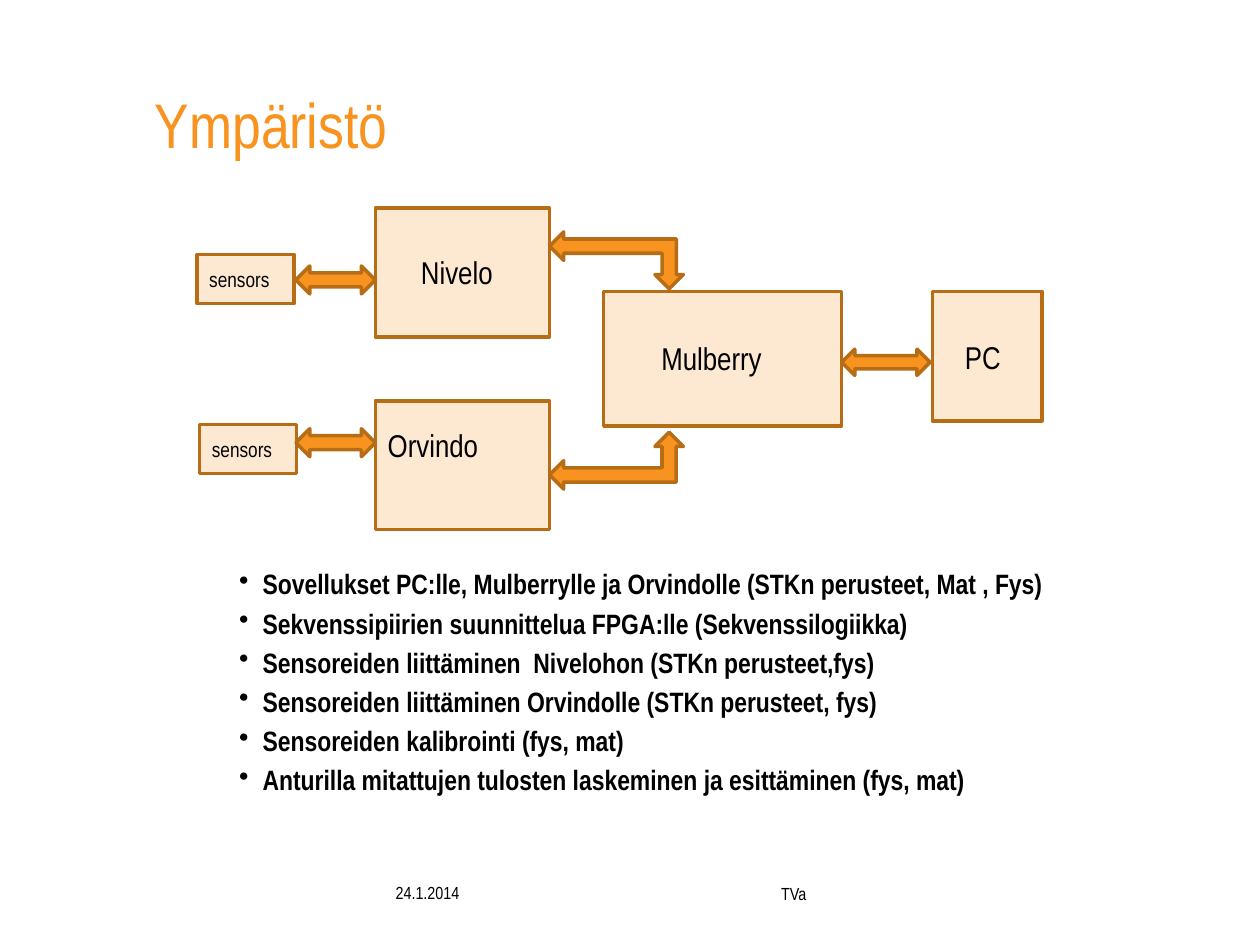
from dataclasses import dataclass

import pptx
import pptx.dml.color
import pptx.enum.shapes
import pptx.enum.text
import pptx.oxml
import pptx.oxml.ns
import pptx.util

Pt = pptx.util.Pt
RGBColor = pptx.dml.color.RGBColor
Shapes = pptx.enum.shapes.MSO_SHAPE
Align = pptx.enum.text.PP_ALIGN
Anchor = pptx.enum.text.MSO_ANCHOR


@dataclass(frozen=True)
class Theme:
    font: str = "Arial Narrow"
    accent: RGBColor = RGBColor(0xF7, 0x93, 0x1E)
    outline: RGBColor = RGBColor(0xB7, 0x6D, 0x16)
    box_fill: RGBColor = RGBColor(0xFD, 0xE9, 0xD2)
    text: RGBColor = RGBColor(0, 0, 0)
    title_size: float = 36
    device_size: float = 18
    body_size: float = 16
    sensor_size: float = 12
    footer_size: float = 10
    line_width: float = 2


THEME = Theme()


@dataclass(frozen=True)
class Box:
    left: float
    top: float
    width: float
    height: float

    def lengths(self) -> tuple:
        return tuple(Pt(v) for v in (self.left, self.top, self.width, self.height))


@dataclass(frozen=True)
class Node:
    name: str
    box: Box
    label_box: Box
    size: float = THEME.device_size


@dataclass(frozen=True)
class Arrow:
    box: Box
    kind: Shapes = Shapes.LEFT_RIGHT_ARROW
    flipped: bool = False


def sensor_node(left: float, top: float) -> Node:
    return Node("sensors", Box(left, top, 55.5, 28),
                Box(left, top + 3.5, 55.5, 21.5), THEME.sensor_size)


NODES = [
    Node("Mulberry", Box(345, 166.5, 136, 77), Box(370.8, 190, 85, 30)),
    Node("PC", Box(532.8, 166.5, 62.6, 74), Box(544.3, 189.5, 39, 29.5)),
    Node("Nivelo", Box(214.5, 119, 99.5, 73.5), Box(233.5, 141, 69, 51)),
    sensor_node(112.5, 145.5),
    sensor_node(114, 242.5),
    Node("Orvindo", Box(214.5, 229, 99.5, 73.5), Box(214.5, 240, 99.5, 29)),
]

ARROWS = [
    Arrow(Box(481, 199.5, 50.5, 15)),
    Arrow(Box(314, 132.5, 76.5, 32.5), Shapes.LEFT_UP_ARROW, flipped=True),
    Arrow(Box(314, 247, 76.5, 32.5), Shapes.LEFT_UP_ARROW),
    Arrow(Box(169, 152, 45.5, 16)),
    Arrow(Box(169, 245, 45.5, 16)),
]

TOPICS = [
    "Sovellukset PC:lle, Mulberrylle ja Orvindolle (STKn perusteet, Mat , Fys)",
    "Sekvenssipiirien suunnittelua FPGA:lle (Sekvenssilogiikka)",
    "Sensoreiden liittäminen  Nivelohon (STKn perusteet,fys)",
    "Sensoreiden liittäminen Orvindolle (STKn perusteet, fys)",
    "Sensoreiden kalibrointi (fys, mat)",
    "Anturilla mitattujen tulosten laskeminen ja esittäminen (fys, mat)",
]


def add_shape(slide, kind: Shapes, box: Box, fill: RGBColor):
    shape = slide.shapes.add_shape(kind, *box.lengths())
    shape.shadow.inherit = False
    shape.fill.solid()
    shape.fill.fore_color.rgb = fill
    shape.line.color.rgb = THEME.outline
    shape.line.width = Pt(THEME.line_width)
    return shape


def add_text(slide, text: str, box: Box, size: float,
             color: RGBColor = THEME.text, bold: bool = False,
             align: Align = Align.LEFT, anchor: Anchor = Anchor.TOP):
    text_frame = slide.shapes.add_textbox(*box.lengths()).text_frame
    text_frame.word_wrap = True
    text_frame.vertical_anchor = anchor
    text_frame.text = text
    for paragraph in text_frame.paragraphs:
        paragraph.alignment = align
        for run in paragraph.runs:
            run.font.name = THEME.font
            run.font.size = Pt(size)
            run.font.bold = bold
            run.font.color.rgb = color
    return text_frame


def add_node(slide, node: Node) -> None:
    add_shape(slide, Shapes.RECTANGLE, node.box, THEME.box_fill)
    add_text(slide, node.name, node.label_box, node.size)


def add_arrow(slide, arrow: Arrow) -> None:
    shape = add_shape(slide, arrow.kind, arrow.box, THEME.accent)
    if arrow.flipped:
        shape.rotation = 180
        shape._element.spPr.find(pptx.oxml.ns.qn("a:xfrm")).set("flipH", "1")


def add_topics(slide, topics: list, box: Box) -> None:
    text_frame = add_text(slide, "\n".join(topics), box, THEME.body_size, bold=True)
    text_frame.margin_top = Pt(26.5)
    bullet_xml = f'<a:buChar {pptx.oxml.ns.nsdecls("a")} char="•"/>'
    for paragraph in text_frame.paragraphs:
        paragraph.space_after = Pt(0.2 * THEME.body_size)
        properties = paragraph._p.get_or_add_pPr()
        properties.set("marL", str(Pt(13.5)))
        properties.set("indent", str(Pt(-13.5)))
        properties.append(pptx.oxml.parse_xml(bullet_xml))


def main() -> None:
    presentation = pptx.Presentation()
    presentation.slide_width, presentation.slide_height = Pt(720), Pt(540)
    slide = presentation.slides.add_slide(presentation.slide_layouts[6])

    # Device diagram
    for node in NODES:
        add_node(slide, node)
    for arrow in ARROWS:
        add_arrow(slide, arrow)

    # Title and topics
    add_text(slide, "Ympäristö", Box(81.5, 29.5, 556, 81.5), THEME.title_size,
             color=THEME.accent, anchor=Anchor.MIDDLE)
    add_topics(slide, TOPICS, Box(129.5, 297.5, 522, 212.5))

    # Footer
    add_text(slide, "24.1.2014", Box(219, 500.5, 93, 29), THEME.footer_size)
    add_text(slide, "TVa", Box(312, 501, 283, 29), THEME.footer_size,
             align=Align.CENTER)

    presentation.save("out.pptx")


if __name__ == "__main__":
    main()
